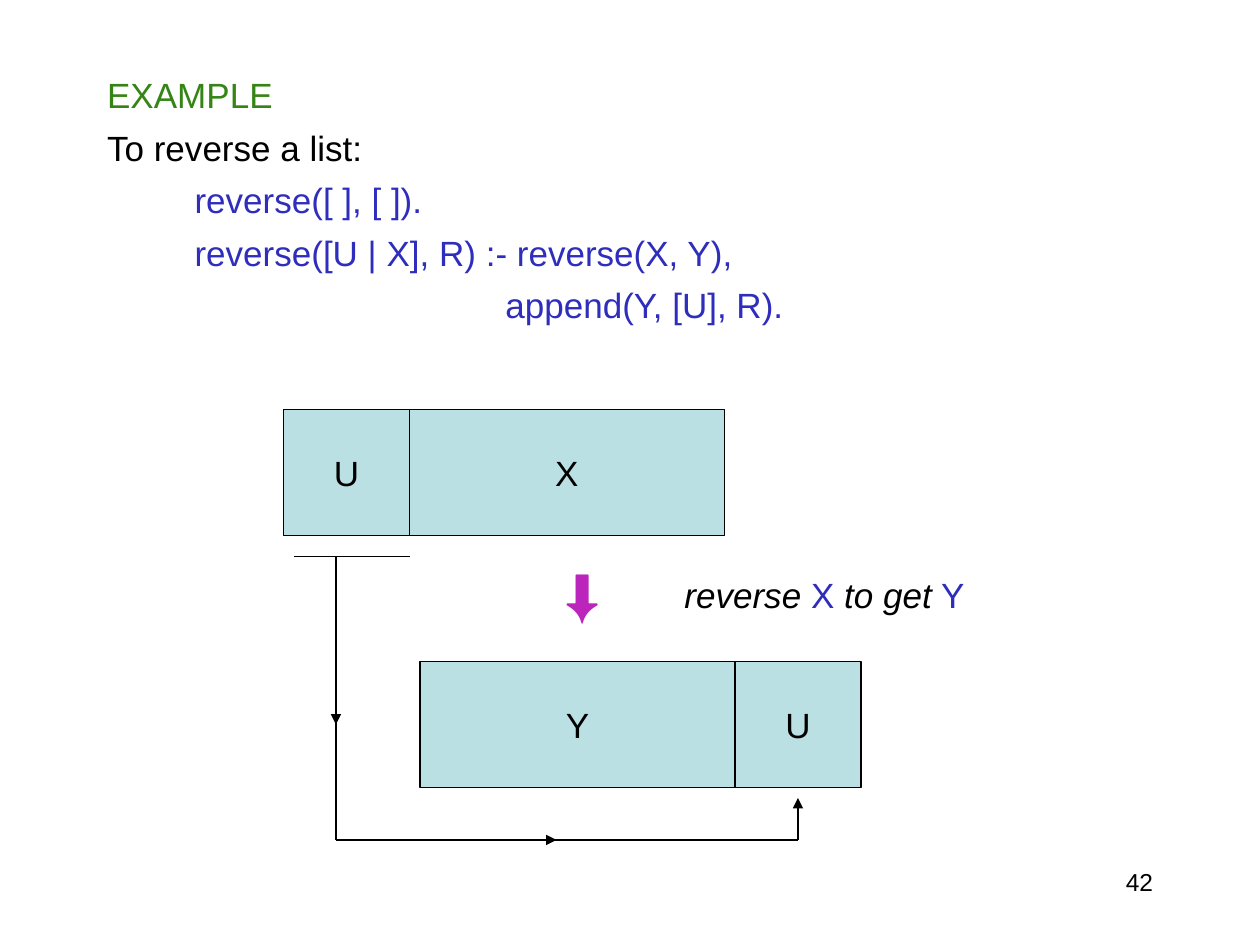
from lxml import etree
from pptx import Presentation
from pptx.dml.color import RGBColor
from pptx.enum.shapes import MSO_CONNECTOR, MSO_SHAPE
from pptx.enum.text import MSO_ANCHOR, MSO_AUTO_SIZE, PP_ALIGN
from pptx.oxml.ns import qn
from pptx.util import Pt

PX = 7620
STRAIGHT = MSO_CONNECTOR.STRAIGHT
RECTANGLE = MSO_SHAPE.RECTANGLE
TOP, MIDDLE = MSO_ANCHOR.TOP, MSO_ANCHOR.MIDDLE
NO_AUTOFIT = MSO_AUTO_SIZE.NONE
CENTER, RIGHT = PP_ALIGN.CENTER, PP_ALIGN.RIGHT

BLACK = RGBColor(0x00, 0x00, 0x00)
GREEN = RGBColor(0x34, 0x85, 0x15)
BLUE = RGBColor(0x2F, 0x2E, 0xBC)
PURPLE = RGBColor(0xBC, 0x25, 0xBB)
TEAL = RGBColor(0xBB, 0xE0, 0xE3)


def style(span, color, size=20, italic=False):
    span.font.name = "Arial"
    span.font.size = Pt(size)
    span.font.italic = italic
    span.font.color.rgb = color


def add_label(left, top, width, height, parts, size=20, wrap=False):
    box = page.shapes.add_textbox(left * PX, top * PX, width * PX, height * PX)
    box.text_frame.word_wrap = wrap
    para = box.text_frame.paragraphs[0]
    for text, color, italic in parts:
        span = para.add_run()
        span.text = text
        style(span, color, size, italic)
    return para


deck = Presentation()
deck.slide_width = 1200 * PX
deck.slide_height = 900 * PX
page = deck.slides.add_slide(deck.slide_layouts[1])
title = page.shapes.title.element
title.getparent().remove(title)

lines = [
    ("EXAMPLE", GREEN),
    ("To reverse a list:", BLACK),
    ("         reverse([ ], [ ]).", BLUE),
    ("         reverse([U | X], R) :- reverse(X, Y),", BLUE),
    ("                                         append(Y, [U], R).", BLUE),
]
body = page.placeholders[1]
body.left, body.top, body.width, body.height = 90 * PX, 64 * PX, 1020 * PX, 740 * PX
frame = body.text_frame
frame.auto_size = NO_AUTOFIT
frame.vertical_anchor = TOP
frame.text = "\n".join(text for text, color in lines)
for index, (para, (text, color)) in enumerate(zip(frame.paragraphs, lines)):
    properties = para._p.get_or_add_pPr()
    properties.set("marL", str(45 * PX))
    properties.set("indent", str(-45 * PX))
    etree.SubElement(properties, qn("a:buNone"))
    para.space_before = Pt(6 if index else 0)
    style(para.runs[0], color)

cells = [
    ("U", 270, 390, 120),
    ("X", 390, 390, 300),
    ("Y", 400, 630, 300),
    ("U", 700, 630, 120),
]
for text, left, top, width in cells:
    cell = page.shapes.add_shape(RECTANGLE, left * PX, top * PX, width * PX, 120 * PX)
    cell.shadow.inherit = False
    cell.fill.solid()
    cell.fill.fore_color.rgb = TEAL
    cell.line.color.rgb = BLACK
    cell.line.width = Pt(0.75)
    cell.text_frame.text = text
    cell.text_frame.vertical_anchor = MIDDLE
    para = cell.text_frame.paragraphs[0]
    para.alignment = CENTER
    style(para.runs[0], BLACK)

routes = [
    (280, 530, 390, 530, False),
    (320, 530, 320, 800, False),
    (320, 800, 760, 800, False),
    (760, 800, 760, 760, True),
    (320, 660, 320, 690, True),
    (510, 800, 530, 800, True),
]
for x1, y1, x2, y2, has_arrow in routes:
    route = page.shapes.add_connector(STRAIGHT, x1 * PX, y1 * PX, x2 * PX, y2 * PX)
    route.line.color.rgb = BLACK
    route.line.width = Pt(0.75)
    if has_arrow:
        etree.SubElement(route.line._get_or_add_ln(), qn("a:tailEnd"), type="triangle")
    etree.SubElement(route._element.spPr, qn("a:effectLst"))

add_label(640, 540, 292, 53, [
    ("reverse ", BLACK, True),
    ("X ", BLUE, False),
    ("to get", BLACK, True),
    (" Y", BLUE, False),
])
add_label(527, 527, 77, 77, [("⬇", PURPLE, False)], size=32)
number = add_label(860, 820, 250, 60, [("42", BLACK, False)], size=14, wrap=True)
number.alignment = RIGHT

deck.save("out.pptx")
